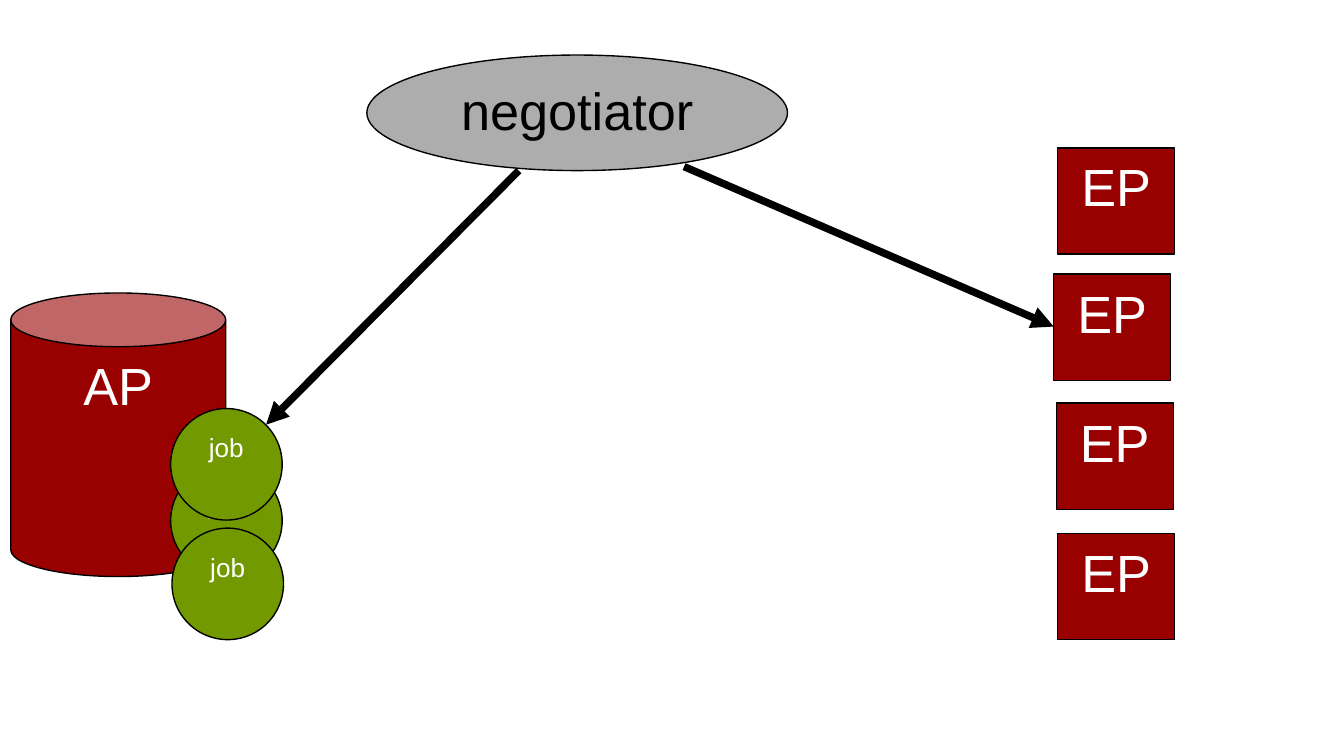
from lxml import etree
from pptx import Presentation
from pptx.dml.color import RGBColor
from pptx.enum.shapes import MSO_CONNECTOR, MSO_SHAPE
from pptx.enum.text import MSO_ANCHOR, PP_ALIGN
from pptx.oxml.ns import qn
from pptx.util import Inches, Pt

RED, GREEN, GRAY = "990000", "739900", "ADADAD"
BLACK, WHITE = "000000", "FFFFFF"


def rgb(color):
    return RGBColor.from_string(color)


def add_node(kind, box, text, fill, size=28, color=WHITE):
    """Add an outlined shape with a centred label at its top."""
    s = slide.shapes.add_shape(kind, *[Inches(v) for v in box])
    s.shadow.inherit = False
    s.fill.solid()
    s.fill.fore_color.rgb = rgb(fill)
    s.line.color.rgb = rgb(BLACK)
    s.line.width = Pt(0.75)
    tf = s.text_frame
    tf.vertical_anchor = MSO_ANCHOR.TOP
    p = tf.paragraphs[0]
    p.text = text
    p.alignment = PP_ALIGN.CENTER
    p.font.name = "Arial"
    p.font.size = Pt(size)
    p.font.color.rgb = rgb(color)


prs = Presentation()
prs.slide_width = Inches(10)
prs.slide_height = Inches(10 * 9 / 16)
slide = prs.slides.add_slide(prs.slide_layouts[6])

add_node(MSO_SHAPE.CAN, (0.08, 2.18, 1.6, 2.11), "AP", RED)

# The middle job lies behind the other two
for x, y in [(1.27, 3.46), (1.28, 3.93), (1.27, 3.04)]:
    add_node(MSO_SHAPE.OVAL, (x, y, 0.83, 0.83), "job", GREEN, size=14)

for x, y in [(7.87, 1.1), (7.84, 2.04), (7.86, 3), (7.87, 3.97)]:
    add_node(MSO_SHAPE.RECTANGLE, (x, y, 0.87, 0.79), "EP", RED)

add_node(MSO_SHAPE.OVAL, (2.73, 0.41, 3.13, 0.86), "negotiator", GRAY, color=BLACK)

# Arrows from the negotiator to the matched job and EP
for ends in [(3.86, 1.27, 1.98, 3.16), (5.09, 1.24, 7.84, 2.43)]:
    arrow = slide.shapes.add_connector(MSO_CONNECTOR.STRAIGHT, *[Inches(v) for v in ends])
    arrow.line.color.rgb = rgb(BLACK)
    arrow.line.width = Pt(4)
    etree.SubElement(arrow.line._get_or_add_ln(), qn("a:tailEnd"), type="triangle")
    etree.SubElement(arrow._element.spPr, qn("a:effectLst"))

prs.save("out.pptx")
